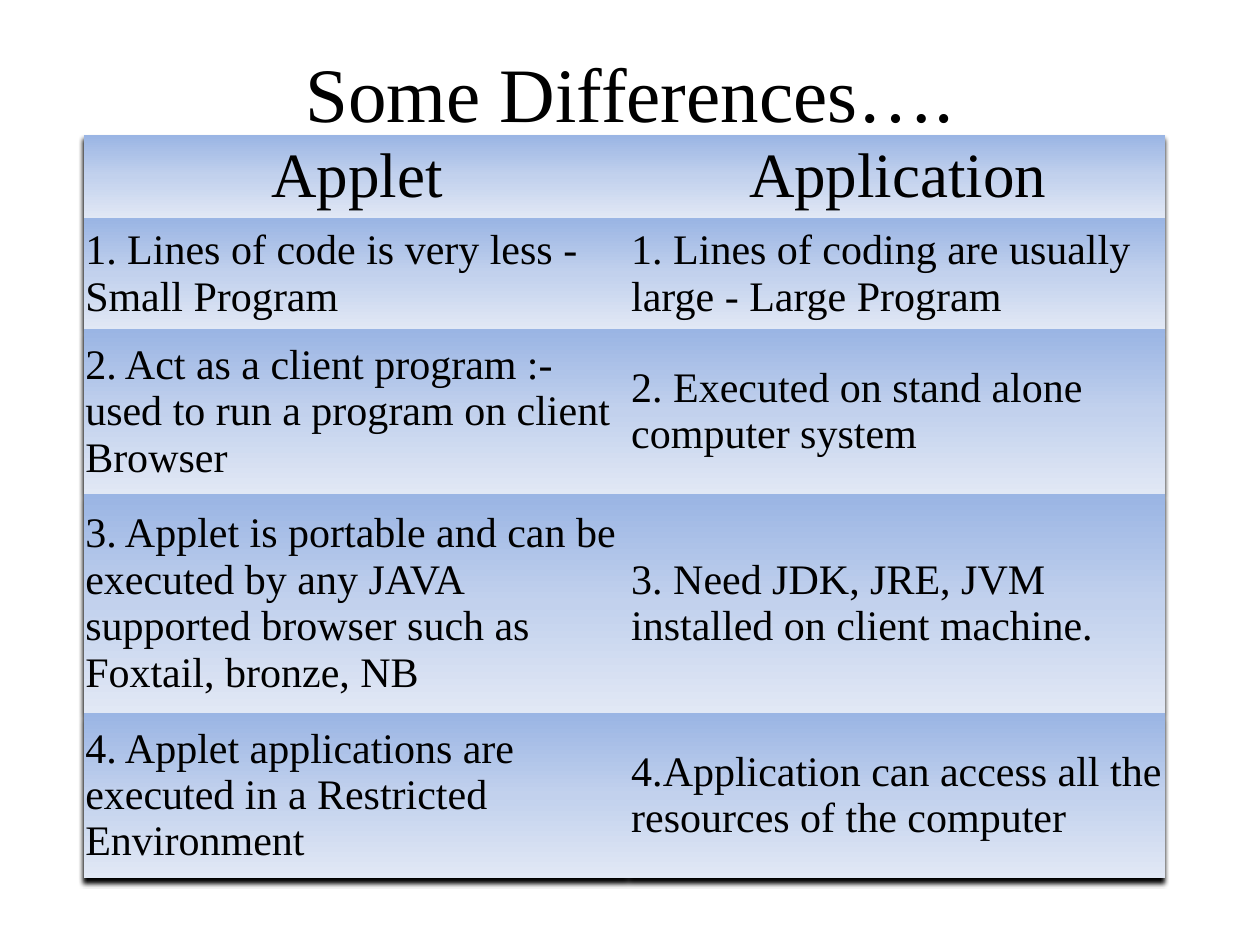
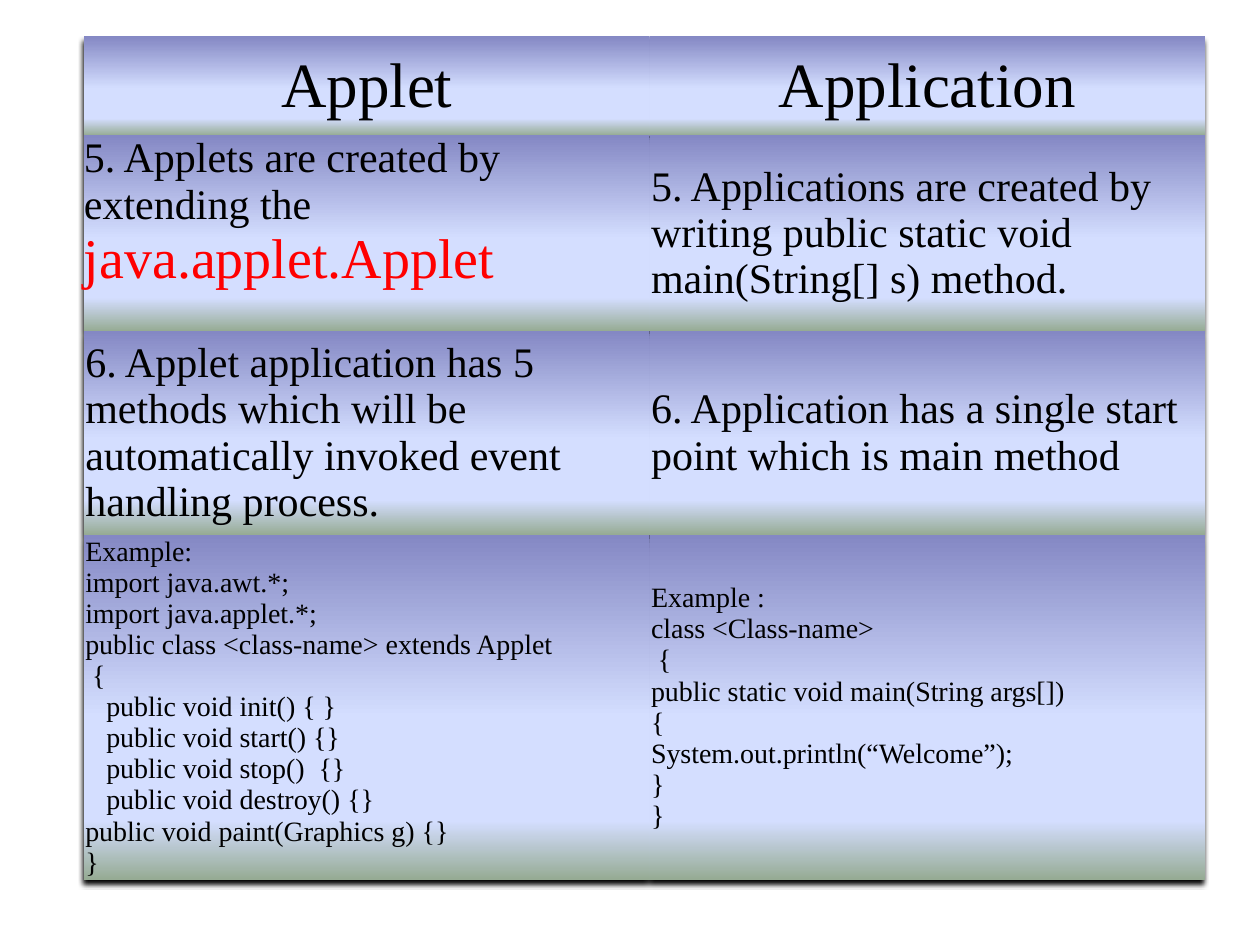
from dataclasses import dataclass
from typing import Any

from lxml.etree import SubElement
from pptx import Presentation
from pptx.dml.color import RGBColor
from pptx.enum.text import MSO_ANCHOR as Anchor, PP_ALIGN as Align
from pptx.oxml.ns import qn
from pptx.util import Pt

FONT = "Times New Roman"
BLACK, RED = "000000", "FF0000"
HEADINGS = ("Applet", "Application")
HEADING_SIZE, POINT_SIZE, CODE_SIZE = 36, 24, 16
TABLE_LEFT = 48
NO_STYLE = "{2D5ABB26-0587-4C30-8999-92F81FD0307C}"
TITLE_ONLY, BLANK = 5, 6

Stops = tuple[tuple[int, str], ...]
BLUE_FADE: Stops = ((0, "9AB5E4"), (50, "C2D1ED"), (100, "E1E8F5"))
DUSK_FADE: Stops = ((0, "8488C4"), (53, "D4DEFF"), (83, "D4DEFF"), (100, "96AB94"))


@dataclass(frozen=True)
class Entry:
    """Text of one cell; a tab at the start of a line indents it."""
    text: str
    size: float = POINT_SIZE
    align: Align = Align.LEFT
    anchor: Anchor = Anchor.MIDDLE
    margin: float = 0.75
    red_ending: str = ""


@dataclass(frozen=True)
class Comparison:
    top: float
    widths: tuple[float, float]
    heights: tuple[float, ...]
    fade: Stops
    rows: tuple[tuple[Entry, Entry], ...]


APPLET_CODE = """Example:
import java.awt.*;
import java.applet.*;
public class <class-name> extends Applet
 {
\tpublic void init() { }
\tpublic void start() {}
\tpublic void stop()  {}
\tpublic void destroy() {}
public void paint(Graphics g) {}
}"""

APPLICATION_CODE = """Example :
class <Class-name>
 {
public static void main(String args[])
{
System.out.println(“Welcome”);
}
}"""

BASICS = Comparison(
    top=77, widths=(312, 306), heights=(47.8, 63.4, 94, 125.2, 94.2), fade=BLUE_FADE,
    rows=(
        (Entry("1. Lines of code is very less - Small Program"),
         Entry("1. Lines of coding are usually large - Large Program")),
        (Entry("2. Act as a client program :- used to run a program on client Browser"),
         Entry("2. Executed on stand alone computer system")),
        (Entry("3. Applet is portable and can be executed by any JAVA "
               "supported browser such as Foxtail, bronze, NB"),
         Entry("3. Need JDK, JRE, JVM installed on client machine.")),
        (Entry("4. Applet applications are executed in a Restricted Environment"),
         Entry("4.Application can access all the resources of the computer")),
    ))

CODING = Comparison(
    top=20.7, widths=(323.3, 317.3), heights=(56.7, 111.8, 116.4, 197), fade=DUSK_FADE,
    rows=(
        (Entry("5. Applets are created by extending the ", anchor=Anchor.TOP,
               margin=0, red_ending="java.applet.Applet"),
         Entry("5. Applications are created by writing public static void "
               "main(String[] s) method.")),
        (Entry("6. Applet application has 5 methods which will be "
               "automatically invoked event handling process."),
         Entry("6. Application has a single start point which is main method")),
        (Entry(APPLET_CODE, CODE_SIZE), Entry(APPLICATION_CODE, CODE_SIZE)),
    ))


def style_span(span: Any, size: float, color: str = BLACK) -> None:
    span.font.name = FONT
    span.font.size = Pt(size)
    span.font.color.rgb = RGBColor.from_string(color)


def fade_cell(cell: Any, stops: Stops) -> None:
    """Fill the cell with a gradient running from top to bottom."""
    fill = SubElement(cell._tc.get_or_add_tcPr(), qn("a:gradFill"), rotWithShape="1")
    stop_list = SubElement(fill, qn("a:gsLst"))
    for percent, color in stops:
        stop = SubElement(stop_list, qn("a:gs"), pos=str(percent * 1000))
        SubElement(stop, qn("a:srgbClr"), val=color)
    SubElement(fill, qn("a:lin"), ang="5400000", scaled="0")


def write_entry(cell: Any, entry: Entry) -> None:
    cell.vertical_anchor = entry.anchor
    cell.margin_left = cell.margin_right = Pt(entry.margin)
    cell.margin_top = cell.margin_bottom = Pt(entry.margin)
    cell.text_frame.text = entry.text.replace("\t", "")
    for para, line in zip(cell.text_frame.paragraphs, entry.text.split("\n")):
        para.alignment = entry.align
        if line.startswith("\t"):
            para._p.get_or_add_pPr().set("marL", str(Pt(12)))
        for span in para.runs:
            style_span(span, entry.size)
    if entry.red_ending:
        ending = cell.text_frame.paragraphs[-1].add_run()
        ending.text = entry.red_ending
        style_span(ending, 32, RED)


def set_table_look(table: Any) -> None:
    """Drop the banded style and cast a soft shadow below the table."""
    table.first_row = table.horz_banding = False
    properties = table._tbl.tblPr
    properties.find(qn("a:tableStyleId")).text = NO_STYLE
    effects = SubElement(properties, qn("a:effectLst"))
    properties.insert(0, effects)
    shadow = SubElement(effects, qn("a:outerShdw"), blurRad=str(Pt(3)),
                        dist=str(Pt(3)), dir="5400000", rotWithShape="0")
    SubElement(shadow, qn("a:srgbClr"), val=BLACK)


def add_comparison(page: Any, comparison: Comparison) -> None:
    headings = tuple(Entry(name, HEADING_SIZE, Align.CENTER) for name in HEADINGS)
    rows = (headings, *comparison.rows)
    table = page.shapes.add_table(
        len(rows), len(HEADINGS), Pt(TABLE_LEFT), Pt(comparison.top),
        Pt(sum(comparison.widths)), Pt(sum(comparison.heights))).table
    set_table_look(table)
    for column, width in zip(table.columns, comparison.widths):
        column.width = Pt(width)
    for row, height, entries in zip(table.rows, comparison.heights, rows):
        row.height = Pt(height)
        for cell, entry in zip(row.cells, entries):
            write_entry(cell, entry)
            fade_cell(cell, comparison.fade)


def set_title(page: Any, text: str) -> None:
    title = page.shapes.title
    title.left, title.top, title.width, title.height = Pt(36), Pt(21.6), Pt(648), Pt(61.2)
    title.text_frame.text = text
    title.text_frame.vertical_anchor = Anchor.MIDDLE
    para = title.text_frame.paragraphs[0]
    para.alignment = Align.CENTER
    style_span(para.runs[0], 44)


def main() -> None:
    deck = Presentation()
    deck.slide_width, deck.slide_height = Pt(720), Pt(540)

    basics_page = deck.slides.add_slide(deck.slide_layouts[TITLE_ONLY])
    set_title(basics_page, "Some Differences….")
    add_comparison(basics_page, BASICS)

    coding_page = deck.slides.add_slide(deck.slide_layouts[BLANK])
    add_comparison(coding_page, CODING)

    deck.save("out.pptx")


if __name__ == "__main__":
    main()
